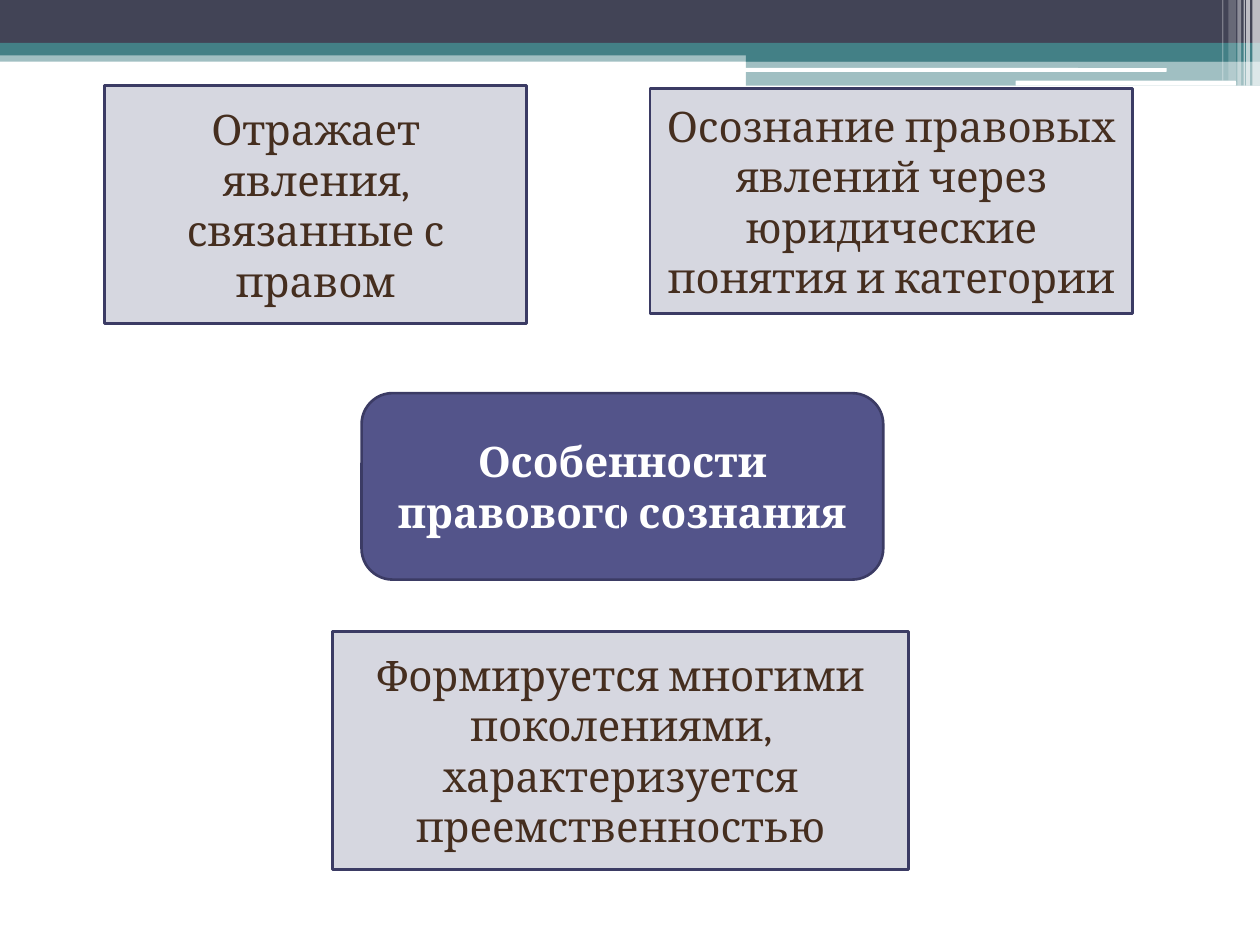
from lxml.etree import SubElement
from pptx import Presentation
from pptx.dml.color import RGBColor
from pptx.enum.shapes import MSO_CONNECTOR, MSO_SHAPE
from pptx.enum.text import MSO_ANCHOR, PP_ALIGN
from pptx.oxml.ns import qn
from pptx.util import Inches, Pt

THEME = {
    "dark": "424456", "teal": "438086", "white": "FFFFFF",
    "indigo": "53548A", "outline": "3B3B64", "pale": "D6D7E0", "brown": "452E1F",
    "font": "Cambria", "text_size": 24, "box_line": 1.5, "arrow_line": 0.75,
}
RECT, ROUND = MSO_SHAPE.RECTANGLE, MSO_SHAPE.ROUNDED_RECTANGLE

# Header bands: preset, (left, top, width, height), colour, opacity in percent
BANDS = [
    (RECT, (0, 0.4, 10, 0.09), "teal", 50),
    (RECT, (0, 0, 10, 0.34), "dark", 100),
    (RECT, (0, 0.34, 10, 0.1), "teal", 100),
    (RECT, (5.92, 0.39, 4.08, 0.1), "teal", 100),
    (RECT, (5.92, 0.48, 4.08, 0.2), "teal", 50),
    (ROUND, (5.91, 0.54, 3.35, 0.03), "white", 100),
    (ROUND, (8.06, 0.64, 1.75, 0.04), "white", 100),
]
# Corner stripes: left, width, height, opacity in percent
STRIPES = [
    (9.94, 0.06, 0.68, 65),
    (9.89, 0.03, 0.68, 65),
    (9.87, 0.01, 0.68, 60),
    (9.82, 0.03, 0.68, 40),
    (9.75, 0.06, 0.64, 20),
    (9.7, 0.01, 0.64, 30),
]
# Boxes: preset, (left, top, width, height), fill, text colour, bold, text
BOXES = [
    (ROUND, (2.87, 3.12, 4.14, 1.48), "indigo", "white", True,
     "Особенности правового сознания"),
    (RECT, (0.83, 0.68, 3.35, 1.89), "pale", "brown", False,
     "Отражает явления, связанные с правом"),
    (RECT, (2.64, 5.01, 4.57, 1.89), "pale", "brown", False,
     "Формируется многими поколениями, характеризуется преемственностью"),
    (RECT, (5.16, 0.7, 3.83, 1.79), "pale", "brown", False,
     "Осознание правовых явлений через юридические понятия и категории"),
]
ARROW = {"box": (4.88, 3.95, 0.39, 0.31), "rotation": 90, "bend": 0.124}


def color(name):
    return RGBColor.from_string(THEME[name])


def add_filled(slide, preset, box, fill, opacity=100):
    shape = slide.shapes.add_shape(preset, *map(Inches, box))
    shape.shadow.inherit = False
    shape.fill.solid()
    shape.fill.fore_color.rgb = color(fill)
    shape.line.fill.background()
    if opacity < 100:
        rgb = shape._element.spPr.find(qn("a:solidFill")).find(qn("a:srgbClr"))
        SubElement(rgb, qn("a:alpha"), val=str(opacity * 1000))
    return shape


def add_box(slide, preset, box, fill, text_color, bold, text):
    shape = add_filled(slide, preset, box, fill)
    shape.line.color.rgb = color("outline")
    shape.line.width = Pt(THEME["box_line"])
    frame = shape.text_frame
    frame.text = text
    frame.word_wrap = True
    frame.vertical_anchor = MSO_ANCHOR.MIDDLE
    paragraph = frame.paragraphs[0]
    paragraph.alignment = PP_ALIGN.CENTER
    font = paragraph.runs[0].font
    font.name = THEME["font"]
    font.size = Pt(THEME["text_size"])
    font.bold = bold
    font.color.rgb = color(text_color)


def add_bent_arrow(slide, box, rotation, bend):
    left, top, width, height = box
    ends = (left, top, left + width, top + height)
    arrow = slide.shapes.add_connector(MSO_CONNECTOR.ELBOW, *map(Inches, ends))
    arrow.line.color.rgb = color("indigo")
    arrow.line.width = Pt(THEME["arrow_line"])
    properties = arrow._element.spPr
    SubElement(properties.find(qn("a:ln")), qn("a:tailEnd"), type="arrow")
    SubElement(properties, qn("a:effectLst"))
    properties.find(qn("a:xfrm")).set("rot", str(rotation * 60000))
    adjustments = properties.find(qn("a:prstGeom")).find(qn("a:avLst"))
    SubElement(adjustments, qn("a:gd"), name="adj1", fmla=f"val {round(bend * 100000)}")


def main():
    presentation = Presentation()
    presentation.slide_width, presentation.slide_height = Inches(10), Inches(7.5)
    slide = presentation.slides.add_slide(presentation.slide_layouts[6])
    for band in BANDS:
        add_filled(slide, *band)
    for left, width, height, opacity in STRIPES:
        add_filled(slide, RECT, (left, 0, width, height), "white", opacity)
    for box in BOXES:
        add_box(slide, *box)
    add_bent_arrow(slide, **ARROW)
    presentation.save("out.pptx")


if __name__ == "__main__":
    main()
